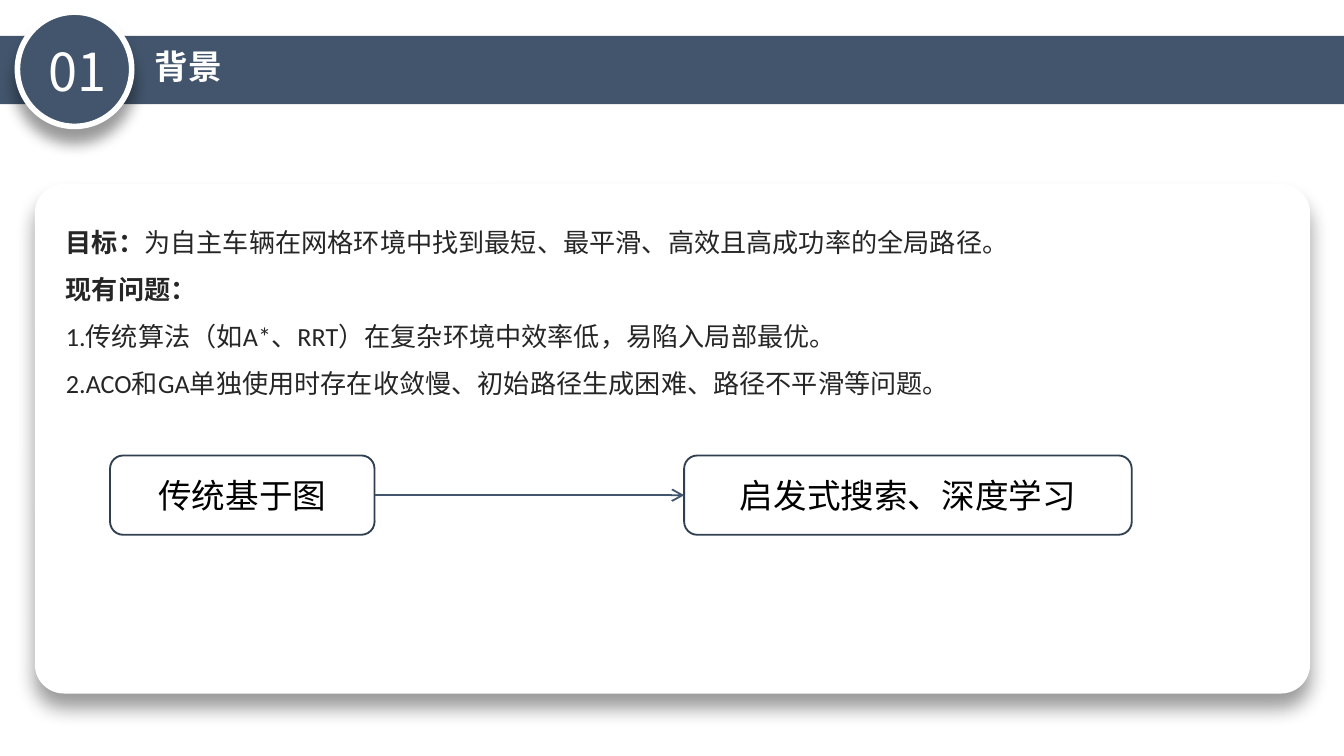
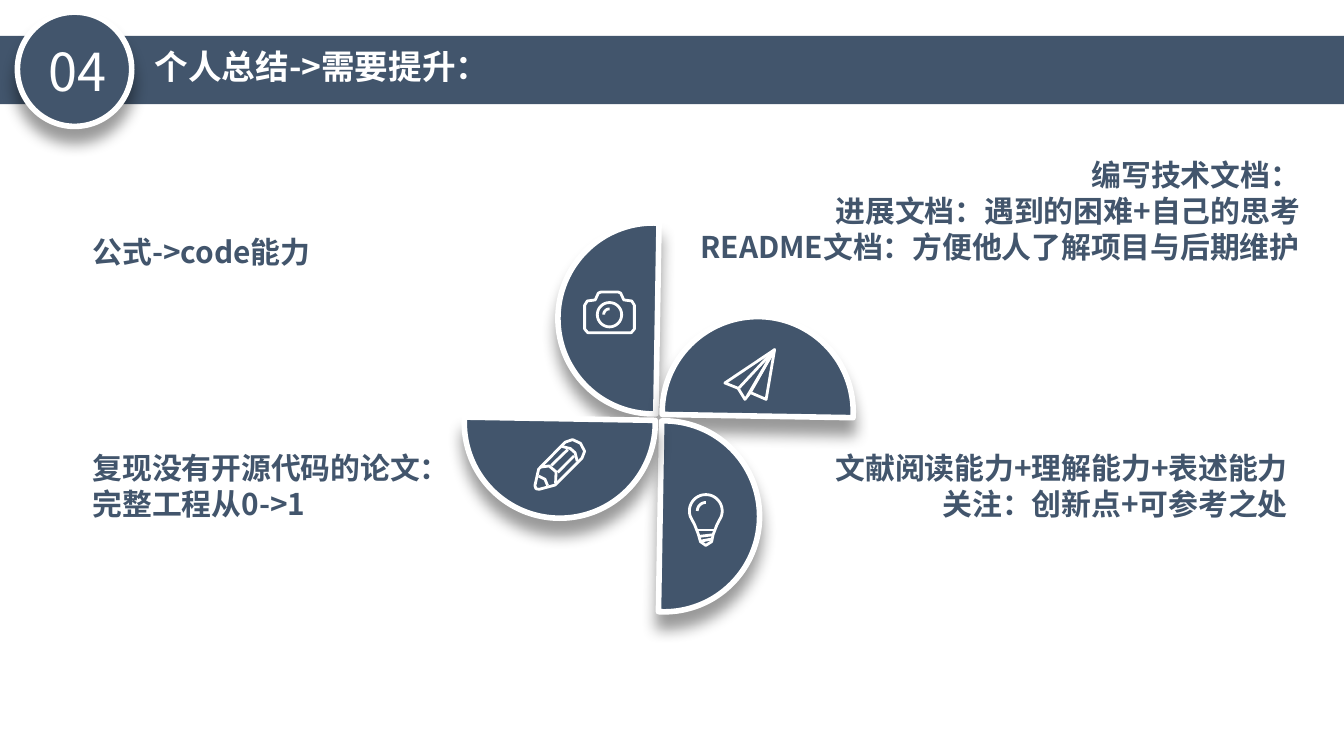
from dataclasses import dataclass
from math import cos, radians, sin

from lxml import etree
from pptx import Presentation
from pptx.dml.color import RGBColor
from pptx.enum.shapes import MSO_CONNECTOR, MSO_SHAPE
from pptx.enum.text import MSO_ANCHOR, MSO_AUTO_SIZE, PP_ALIGN
from pptx.oxml.ns import qn
from pptx.util import Cm, Pt

LEFT, CENTER, RIGHT = PP_ALIGN.LEFT, PP_ALIGN.CENTER, PP_ALIGN.RIGHT
TOP, MIDDLE = MSO_ANCHOR.TOP, MSO_ANCHOR.MIDDLE
RECT, OVAL = MSO_SHAPE.RECTANGLE, MSO_SHAPE.OVAL
ROUND, CHORD = MSO_SHAPE.ROUNDED_RECTANGLE, MSO_SHAPE.CHORD
STRAIGHT, NO_FIT = MSO_CONNECTOR.STRAIGHT, MSO_AUTO_SIZE.NONE


@dataclass(frozen=True)
class Theme:
    navy: str = "42556C"
    edge: str = "314051"
    white: str = "FFFFFF"
    ink: str = "262626"
    black: str = "000000"
    sans: str = "Noto Sans CJK SC"
    latin: str = "Calibri"
    badge: int = 28
    title: int = 18
    note: int = 16
    body: int = 14


T = Theme()

# Content: positions are left, top, width, height in cm
GOAL = {
    "num": "01",
    "title": "背景",
    "body": [
        [("目标：", True),
         ("为自主车辆在网格环境中找到最短、最平滑、高效且高成功率的全局路径。", False)],
        [("现有问题：", True)],
        [("1.传统算法（如A*、RRT）在复杂环境中效率低，易陷入局部最优。", False)],
        [("2.ACO和GA单独使用时存在收敛慢、初始路径生成困难、路径不平滑等问题。", False)],
    ],
    "steps": [("传统基于图", 2.08, 5), ("启发式搜索、深度学习", 12.93, 8.46)],
}
SKILLS = {
    "num": "04",
    "title": "个人总结->需要提升：",
    "notes": [
        (["公式->code能力"], (1.5, 4.29, 6.43, 1.19), LEFT),
        (["复现没有开源代码的论文：", "完整工程从0->1"], (1.5, 8.38, 7.29, 2.72), LEFT),
        (["编写技术文档：", "进展文档：遇到的困难+自己的思考",
          "README文档：方便他人了解项目与后期维护"], (12.5, 2.84, 12.32, 2.84), RIGHT),
        (["文献阅读能力+理解能力+表述能力", "关注：创新点+可参考之处"],
         (14.68, 8.38, 9.91, 1.93), RIGHT),
    ],
}


def arc(x, y, r, start, end):
    """Points along a circle, angles clockwise from the right."""
    turns = [radians(start + (end - start) * i / 32) for i in range(33)]
    return [(x + r * cos(a), y + r * sin(a)) for a in turns]


# Icons: corner in cm, then strokes (points, closed) in a 1 cm box
ICONS = {
    "camera": ((11.02, 5.49), [
        ([(.03, .28), (.08, .2), (.23, .18), (.29, .05), (.34, .03), (.66, .03),
          (.71, .05), (.77, .18), (.92, .2), (.97, .28), (.97, .73), (.91, .8),
          (.09, .8), (.03, .73)], True),
        (arc(.5, .46, .23, 0, 360), True),
        (arc(.5, .46, .11, 180, 270), False),
    ]),
    "plane": ((13.67, 6.58), [
        ([(.97, .03), (.03, .66), (.28, .76), (.41, .97), (.51, .84), (.81, .97)], True),
        ([(.3, .75), (.97, .03), (.46, .9)], False),
        ([(.97, .03), (.51, .84)], False),
    ]),
    "pencil": ((10.08, 8.28), [
        ([(.03, .9), (.1, .59), (.6, .08), (.74, .03), (.89, .1), (.97, .25),
          (.92, .38), (.41, .89), (.11, .97), (.05, .96)], True),
        ([(.54, .16), (.7, .2), (.79, .28), (.83, .44)], False),
        ([(.13, .55), (.3, .53), (.43, .64), (.42, .86)], False),
        ([(.1, .72), (.22, .78), (.27, .9)], False),
        ([(.34, .52), (.65, .22)], False),
        ([(.46, .65), (.77, .34)], False),
    ]),
    "bulb": ((13, 9.32), [
        (arc(.34, .34, .31, 160, 380) + [(.55, .6), (.48, .78), (.45, .92),
         (.34, .99), (.24, .92), (.2, .78), (.13, .6)], True),
        (arc(.34, .34, .16, 180, 270), False),
        ([(.18, .7), (.5, .7)], False),
        ([(.21, .82), (.47, .79)], False),
        ([(.24, .91), (.45, .87)], False),
    ]),
}


# Drawing helpers
def rgb(code):
    return RGBColor.from_string(code)


def place(shape, box):
    shape.left, shape.top, shape.width, shape.height = map(Cm, box)


def shade(shape, blur=8):
    """Soft shadow that falls straight down."""
    fx = etree.SubElement(shape._element.spPr, qn("a:effectLst"))
    drop = etree.SubElement(fx, qn("a:outerShdw"), blurRad=str(Pt(blur)),
                            dist=str(Pt(8)), dir="5400000", algn="t", rotWithShape="0")
    tint = etree.SubElement(drop, qn("a:srgbClr"), val=T.black)
    etree.SubElement(tint, qn("a:alpha"), val="40000")


def paint(shape, fill=None, line=None, width=1, blur=None):
    if fill:
        shape.fill.solid()
        shape.fill.fore_color.rgb = rgb(fill)
    else:
        shape.fill.background()
    if line:
        shape.line.color.rgb = rgb(line)
        shape.line.width = Pt(width)
    else:
        shape.line.fill.background()
    if blur:
        shade(shape, blur)
    else:
        shape.shadow.inherit = False


def draw(slide, kind, box, **look):
    shape = slide.shapes.add_shape(kind, *map(Cm, box))
    paint(shape, **look)
    return shape


def style(run, size, color, font=T.sans, bold=False):
    run.font.size, run.font.bold, run.font.name = Pt(size), bold, font
    run.font.color.rgb = rgb(color)
    etree.SubElement(run._r.get_or_add_rPr(), qn("a:ea"), typeface=T.sans)


def write(shape, lines, size, color, align=LEFT, anchor=TOP, **look):
    frame = shape.text_frame
    frame.word_wrap, frame.auto_size = True, NO_FIT
    frame.vertical_anchor = anchor
    frame.text = "\n".join(lines)
    for para in frame.paragraphs:
        para.alignment = align
        for run in para.runs:
            style(run, size, color, **look)


def label(slide, box, *args, **look):
    write(slide.shapes.add_textbox(*map(Cm, box)), *args, **look)


def sketch(slide, corner, strokes):
    """One icon as a single outline of several strokes."""
    def spot(point):
        return tuple(Cm(c + p) for c, p in zip(corner, point))

    pen = None
    for points, closed in strokes:
        first, *rest = map(spot, points)
        if pen is None:
            pen = slide.shapes.build_freeform(*first)
        else:
            pen.move_to(*first)
        pen.add_line_segments(rest, close=closed)
    paint(pen.convert_to_shape(), line=T.white, width=1.5)


# Shared parts
def brand(deck, slide):
    """Put the band and the badge disc on the slide master."""
    band = draw(slide, RECT, (0, .68, 25.4, 1.29), fill=T.navy)
    disc = draw(slide, OVAL, (.33, .23, 2.16, 2.16), fill=T.navy,
                line=T.white, width=3, blur=8)
    for i, shape in enumerate((band, disc)):
        shape._element.nvSpPr.cNvPr.id = 100 + i
        deck.slide_master.shapes._spTree.append(shape._element)


def head(slide, data):
    title = slide.shapes.title
    place(title, (2.67, .74, 14.22, 1.02))
    write(title, [data["title"]], T.title, T.white, bold=True)
    label(slide, (.56, .61, 1.8, 1.45), [data["num"]], T.badge, T.white, CENTER)


# Slides
def goal(slide):
    head(slide, GOAL)
    card = draw(slide, ROUND, (.66, 3.48, 24.1, 9.63), fill=T.white, blur=10)
    card.adjustments[0] = .057
    slide.shapes._spTree.insert(2, card._element)

    body = slide.placeholders[1]
    place(body, (.99, 3.86, 23.55, 10.06))
    frame = body.text_frame
    frame.auto_size, frame.vertical_anchor = NO_FIT, TOP
    for i, parts in enumerate(GOAL["body"]):
        para = frame.add_paragraph() if i else frame.paragraphs[0]
        para.line_spacing, para.space_before = 1.5, Pt(0)
        props = para._p.get_or_add_pPr()
        props.set("marL", "0")
        props.set("indent", "0")
        etree.SubElement(props, qn("a:buNone"))
        for text, bold in parts:
            run = para.add_run()
            run.text = text
            style(run, T.body, T.ink, T.latin, bold)

    steps = []
    for text, x, wide in GOAL["steps"]:
        step = draw(slide, ROUND, (x, 8.61, wide, 1.5), line=T.edge)
        write(step, [text], T.title, T.black, CENTER, MIDDLE, font=T.latin)
        steps.append(step)
    link = slide.shapes.add_connector(STRAIGHT, 0, 0, 0, 0)
    link.begin_connect(steps[0], 3)
    link.end_connect(steps[1], 1)
    link.line.color.rgb = rgb(T.navy)
    link.line.width = Pt(1)
    etree.SubElement(link.line._get_or_add_ln(), qn("a:tailEnd"), type="arrow")
    etree.SubElement(link._element.spPr, qn("a:effectLst"))


def skills(slide):
    head(slide, SKILLS)
    for lines, box, align in SKILLS["notes"]:
        label(slide, box, lines, T.note, T.navy, align, bold=True)

    # Four blades, each a quarter turn on from the last
    size, dx, dy = 3.61, -.1, -1.87
    for turn in range(4):
        box = (12.45 + dx - size / 2, 7.89 + dy - size / 2, size, size)
        blade = draw(slide, CHORD, box, fill=T.navy, line=T.white, width=3, blur=8)
        blade.adjustments[0], blade.adjustments[1] = 53.138, 164.032
        blade.rotation = 90 * turn
        dx, dy = -dy, dx
    for corner, strokes in ICONS.values():
        sketch(slide, corner, strokes)


def main():
    deck = Presentation()
    deck.slide_width, deck.slide_height = Cm(25.4), Cm(14.29)
    first = deck.slides.add_slide(deck.slide_layouts[1])
    brand(deck, first)
    goal(first)
    skills(deck.slides.add_slide(deck.slide_layouts[5]))
    deck.save("out.pptx")


if __name__ == "__main__":
    main()
